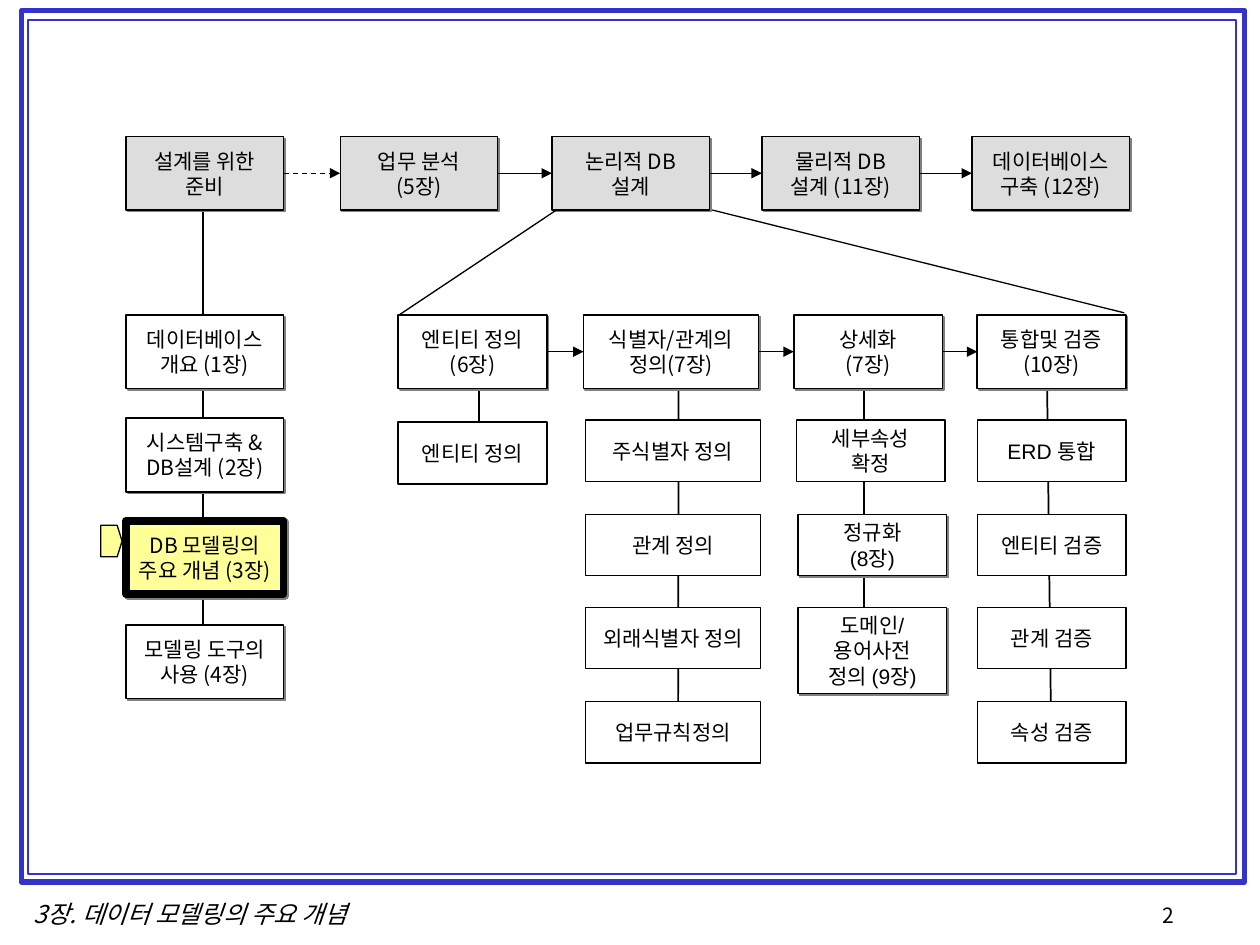
from lxml.etree import SubElement
from pptx import Presentation
from pptx.dml.color import RGBColor
from pptx.enum.dml import MSO_LINE
from pptx.enum.shapes import MSO_CONNECTOR, MSO_SHAPE
from pptx.enum.text import MSO_ANCHOR, PP_ALIGN
from pptx.oxml.ns import qn
from pptx.util import Pt

KOR = "Noto Sans CJK KR"
HIGH = 42


def paint(target, code):
    """Set a fill or line to a solid hex colour."""
    fill = getattr(target, "fill", target)
    fill.solid()
    fill.fore_color.rgb = RGBColor.from_string(code)


def write(frame, text, font=KOR, size=12, align=PP_ALIGN.CENTER, wrap=False, slant=False):
    """Write one paragraph for each line of text."""
    frame.word_wrap = wrap
    for i, line in enumerate(text.split("\n")):
        para = frame.add_paragraph() if i else frame.paragraphs[0]
        para.alignment = align
        run = para.add_run()
        run.text = line
        run.font.name = font
        run.font.size = Pt(size)
        run.font.italic = slant
        run.font.color.rgb = RGBColor(0, 0, 0)
        SubElement(run._r.get_or_add_rPr(), qn("a:ea"), typeface=KOR)


def note(slide, place, text, **style):
    """Add a text box."""
    box = slide.shapes.add_textbox(*map(Pt, place))
    write(box.text_frame, text, **style)


def frame(slide, place, width):
    """Add an unfilled blue border."""
    box = slide.shapes.add_shape(MSO_SHAPE.RECTANGLE, *map(Pt, place))
    box.shadow.inherit = False
    box.fill.background()
    paint(box.line, "3333CC")
    box.line.width = Pt(width)


def cast(box):
    """Give a box a small grey shadow."""
    list_ = box._element.spPr.find(qn("a:effectLst"))
    shade = SubElement(list_, qn("a:outerShdw"), dist=str(Pt(1.4)), dir="2700000",
                       algn="ctr", rotWithShape="0")
    SubElement(shade, qn("a:srgbClr"), val="808080")


def card(slide, place, text, fill="FFFFFF", width=0.75, font=KOR, shade=True):
    """Add a labelled box."""
    box = slide.shapes.add_shape(MSO_SHAPE.RECTANGLE, *map(Pt, place))
    box.shadow.inherit = False
    paint(box, fill)
    paint(box.line, "000000")
    box.line.width = Pt(width)
    if shade:
        cast(box)
    box.text_frame.vertical_anchor = MSO_ANCHOR.MIDDLE
    write(box.text_frame, text, font)
    return box


def link(slide, ends, width=0.75):
    """Add a plain black line."""
    line = slide.shapes.add_connector(MSO_CONNECTOR.STRAIGHT, *map(Pt, ends))
    paint(line.line, "000000")
    line.line.width = Pt(width)
    SubElement(line._element.spPr, qn("a:effectLst"))
    return line


def chain(slide, cards):
    """Join neighbouring cards from left to right with arrows."""
    arrows = []
    for left, right in zip(cards, cards[1:]):
        line = link(slide, (0, 0, 0, 0))
        line.begin_connect(left, 3)
        line.end_connect(right, 1)
        SubElement(line.line._get_or_add_ln(), qn("a:tailEnd"), type="triangle")
        arrows.append(line)
    return arrows


def flag(slide):
    """Add the yellow marker beside the current chapter."""
    path = slide.shapes.build_freeform(Pt(57.6), Pt(300.2), scale=1.0)
    spots = [(67, 300.2), (69.8, 309.2), (67, 318.2), (57.6, 318.2)]
    path.add_line_segments([(Pt(x), Pt(y)) for x, y in spots], close=True)
    mark = path.convert_to_shape()
    mark.shadow.inherit = False
    paint(mark, "FFFF99")
    paint(mark.line, "000000")
    mark.line.width = Pt(0.75)


def main():
    """Build the chapter road map."""
    deck = Presentation()
    deck.slide_width, deck.slide_height = Pt(720), Pt(540)
    slide = deck.slides.add_slide(deck.slide_layouts[6])

    note(slide, (657.4, 512, 73.4, 24), "2", align=PP_ALIGN.LEFT, wrap=True)
    note(slide, (5.8, 510, 206, 24.5), "3장. 데이터 모델링의 주요 개념", size=14, slant=True)
    frame(slide, (12.2, 6, 699, 498), 3)
    frame(slide, (16, 11.5, 690.5, 488), 1)

    link(slide, (116, 120, 116, 360))
    for ends in [(493.8, 214, 493.8, 350), (387.8, 210, 387.5, 402),
                 (273.6, 220, 273.6, 243), (598.3, 214, 600.5, 405)]:
        link(slide, ends, 1)

    stages = [(72, "설계를 위한\n준비"), (194.4, "업무 분석\n(5장)"), (315.4, "논리적 DB\n설계"),
              (435.4, "물리적 DB\n설계 (11장)"), (555.4, "데이터베이스\n구축 (12장)")]
    cards = [card(slide, (x, 78, 90, HIGH), text, "DDDDDD") for x, text in stages]
    chain(slide, cards)[0].line.dash_style = MSO_LINE.DASH

    basics = [(180, "데이터베이스\n개요 (1장)", "FFFFFF", 1),
              (239, "시스템구축 &\nDB설계 (2장)", "FFFFFF", 1),
              (297.5, "DB 모델링의\n주요 개념 (3장)", "FFFF99", 4.5),
              (357.2, "모델링 도구의\n사용 (4장)", "FFFFFF", 0.75)]
    for y, text, fill, width in basics:
        card(slide, (72, y, 90, HIGH), text, fill, width)

    steps = [(227.5, 85, 1, "엔티티 정의\n(6장)"), (333.4, 100, 0.75, "식별자/관계의\n정의(7장)"),
             (453.6, 85, 1, "상세화\n(7장)"), (558.4, 85, 1, "통합및 검증\n(10장)")]
    cards = [card(slide, (x, 180, wide, HIGH), text, width=width)
             for x, wide, width, text in steps]
    chain(slide, cards)

    card(slide, (227.5, 241, 85, 35.5), "엔티티 정의", width=1, font="Arial", shade=False)
    rows = [240, 294, 347, 401]
    tasks = [(334.6, 100, ["주식별자 정의", "관계 정의", "외래식별자 정의", "업무규칙정의"]),
             (558.5, 85, ["ERD 통합", "엔티티 검증", "관계 검증", "속성 검증"])]
    for x, wide, names in tasks:
        for y, text in zip(rows, names):
            card(slide, (x, y, wide, 35), text, font="Arial", shade=False)
    details = [(455, 35, "세부속성\n확정", False), (456, 35, "정규화\n(8장)", True),
               (456, 49.5, "도메인/\n용어사전\n정의 (9장)", True)]
    for y, (x, high, text, shade) in zip(rows, details):
        card(slide, (x, y, 85, high), text, font="Arial", shade=shade)

    link(slide, (318, 120, 228, 180))
    link(slide, (407, 120, 642.5, 178.8))
    flag(slide)
    deck.save("out.pptx")


if __name__ == "__main__":
    main()
